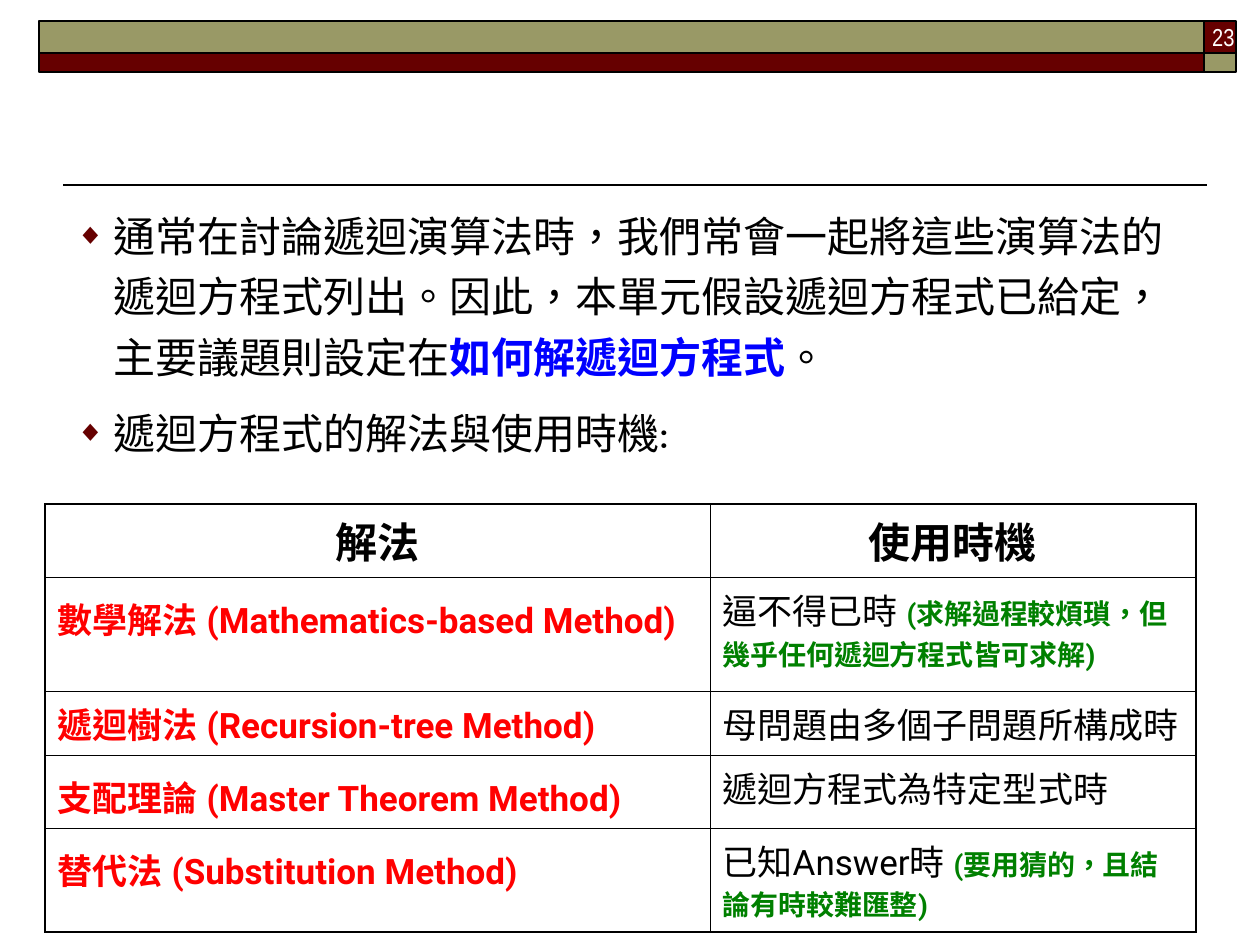
"""Build a slide on solving recurrences, with a table of methods and when to use them."""
import pptx
import pptx.dml.color
import pptx.enum.lang
import pptx.enum.shapes
import pptx.enum.text
import pptx.oxml.ns
import pptx.util
from lxml import etree

RGBColor = pptx.dml.color.RGBColor
BLACK = RGBColor(0x00, 0x00, 0x00)
WHITE = RGBColor(0xFF, 0xFF, 0xFF)
MAROON = RGBColor(0x66, 0x00, 0x00)
OLIVE = RGBColor(0x99, 0x99, 0x66)
BLUE = RGBColor(0x00, 0x00, 0xFF)
RED = RGBColor(0xFF, 0x00, 0x00)
GREEN = RGBColor(0x00, 0x80, 0x00)
qn = pptx.oxml.ns.qn
Pt = pptx.util.Pt


def px(*lengths):
    return [pptx.util.Emu(round(length * 914400 / 126)) for length in lengths]


def add_span(para, text, size, face, color, bold=False):
    span = para.add_run()
    span.text = text
    span.font.size = Pt(size)
    span.font.name = face
    span.font.bold = bold
    span.font.color.rgb = color
    span.font.language_id = pptx.enum.lang.MSO_LANGUAGE_ID.TRADITIONAL_CHINESE
    etree.SubElement(span._r.get_or_add_rPr(), qn("a:ea"), typeface=face)


deck = pptx.Presentation()
deck.slide_width, deck.slide_height = px(1260, 945)
page = deck.slides.add_slide(deck.slide_layouts[1])
title = page.shapes.title
title._element.getparent().remove(title._element)

for left, top, width, height, color in [
    (1204, 21, 32, 32, MAROON),
    (39, 21, 1165, 32, OLIVE),
    (39, 53, 1165, 19, MAROON),
    (1204, 53, 32, 19, OLIVE),
]:
    bar = page.shapes.add_shape(
        pptx.enum.shapes.MSO_SHAPE.RECTANGLE, *px(left, top, width, height))
    bar.shadow.inherit = False
    bar.fill.solid()
    bar.fill.fore_color.rgb = color
    bar.line.color.rgb = BLACK
    bar.line.width = Pt(1)

rule = page.shapes.add_connector(
    pptx.enum.shapes.MSO_CONNECTOR.STRAIGHT, *px(1207, 185, 63, 185))
rule.line.color.rgb = BLACK
rule.line.width = Pt(1)
etree.SubElement(rule._element.spPr, qn("a:effectLst"))

body = page.placeholders[1]
body.left, body.top, body.width, body.height = px(63, 194, 1123, 704)
body.text_frame.auto_size = pptx.enum.text.MSO_AUTO_SIZE.NONE
bullets = [
    [("通常在討論遞迴演算法時，我們常會一起將這些演算法的遞迴方程式列出。"
      "因此，本單元假設遞迴方程式已給定，主要議題則設定在", BLACK, False),
     ("如何解遞迴方程式", BLUE, True),
     ("。", BLACK, False)],
    [("遞迴方程式的解法與使用時機:", BLACK, False)],
]
for index, spans in enumerate(bullets):
    para = body.text_frame.paragraphs[0] if index == 0 else body.text_frame.add_paragraph()
    properties = para._p.get_or_add_pPr()
    indent = px(38)[0]
    properties.set("marL", str(indent))
    properties.set("indent", str(-indent))
    bullet_color = etree.SubElement(properties, qn("a:buClr"))
    etree.SubElement(bullet_color, qn("a:srgbClr"), val=str(MAROON))
    etree.SubElement(properties, qn("a:buSzPct"), val="70000")
    etree.SubElement(properties, qn("a:buChar"), char="◆")
    para.line_spacing = 1.2
    para.space_before = Pt(9 if index else 0)
    for text, color, bold in spans:
        add_span(para, text, 24, "Karla", color, bold)

rows = [
    (73, "解法", [("使用時機", 24, BLACK, True)]),
    (114, "數學解法 (Mathematics-based Method)",
     [("逼不得已時 ", 20, BLACK, False),
      ("(求解過程較煩瑣，但幾乎任何遞迴方程式皆可求解)", 16, GREEN, True)]),
    (64, "遞迴樹法 (Recursion-tree Method)",
     [("母問題由多個子問題所構成時", 20, BLACK, False)]),
    (73, "支配理論 (Master Theorem Method)",
     [("遞迴方程式為特定型式時", 20, BLACK, False)]),
    (104, "替代法 (Substitution Method)",
     [("已知Answer時 ", 20, BLACK, False),
      ("(要用猜的，且結論有時較難匯整)", 16, GREEN, True)]),
]
table_height = sum(height for height, method, occasion in rows)
frame = page.shapes.add_table(len(rows), 2, *px(45, 504, 1151, table_height))
table = frame.table
table.first_row = False
table.horz_banding = False
for column, width in zip(table.columns, px(665, 486)):
    column.width = width
for row, (height, method, occasion) in enumerate(rows):
    header = row == 0
    table.rows[row].height = px(height)[0]
    method_spans = [(method, 24 if header else 20, BLACK if header else RED, True)]
    for column, spans in enumerate([method_spans, occasion]):
        cell = table.cell(row, column)
        para = cell.text_frame.paragraphs[0]
        para.line_spacing = 1.44 if column == 0 and row in (1, 3, 4) else 1.2
        if header:
            para.alignment = pptx.enum.text.PP_ALIGN.CENTER
        for text, size, color, bold in spans:
            add_span(para, text, size, "Karla" if header else "Roboto", color, bold)
        outer_sides = {"L": column == 0, "R": column == 1,
                       "T": header, "B": row == len(rows) - 1}
        for side, outer in outer_sides.items():
            border = etree.SubElement(cell._tc.get_or_add_tcPr(), qn("a:ln" + side),
                                      w=str(Pt(1.08 if outer else 0.45)))
            border_fill = etree.SubElement(border, qn("a:solidFill"))
            etree.SubElement(border_fill, qn("a:srgbClr"), val=str(BLACK))
        cell.fill.background()

number_box = page.shapes.add_textbox(*px(985, 16, 262, 40))
number_box.text_frame.word_wrap = True
para = number_box.text_frame.paragraphs[0]
para.alignment = pptx.enum.text.PP_ALIGN.RIGHT
add_span(para, "23", 14, "Arial Narrow", WHITE)

deck.save("out.pptx")
